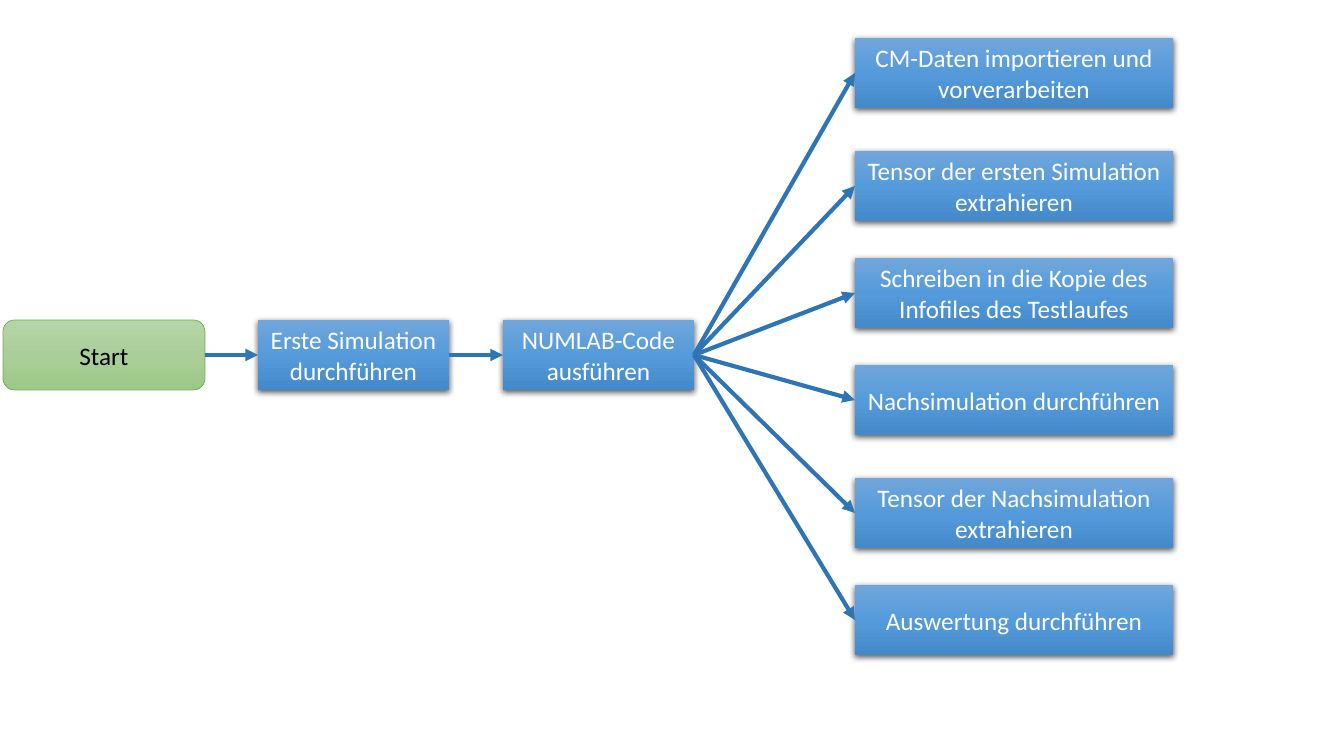
from lxml.etree import SubElement as Sub
from pptx import Presentation
from pptx.dml.color import RGBColor as Rgb
from pptx.enum.shapes import MSO_CONNECTOR as Link, MSO_SHAPE as Kind
from pptx.enum.text import MSO_ANCHOR as Anchor, PP_ALIGN as Align
from pptx.oxml.ns import qn
from pptx.util import Pt

SCALE = 914400 / 100.8
HUES = {
    "white": "FFFFFF", "black": "000000", "edge": "70AD47", "arrow": "2E75B6",
    "green": ("B5D5A7", "AACE9A", "9CC987"),
    "blue": ("71A6DB", "559BDB", "448ACA"),
}
RIGHT, LEFT = 3, 1


def emu(size):
    return round(size * SCALE)


def hue(name):
    return Rgb.from_string(HUES[name])


def write(frame, text, size=18, color="white", font="Calibri", align=Align.CENTER):
    frame.word_wrap = True
    frame.vertical_anchor = Anchor.MIDDLE
    para = frame.paragraphs[0]
    para.alignment = align
    run = para.add_run()
    run.text = text
    run.font.size = Pt(size)
    run.font.name = font
    run.font.color.rgb = hue(color)


class Chart:
    def __init__(self, slide):
        self.slide = slide

    def blend(self, shape, name):
        shape.fill.gradient()
        shape.fill.gradient_angle = 270
        stops = shape._element.spPr.find(".//" + qn("a:gsLst"))
        for stop in list(stops):
            stops.remove(stop)
        for step, code in enumerate(HUES[name]):
            stop = Sub(stops, qn("a:gs"), pos=str(step * 50000))
            Sub(stop, qn("a:srgbClr"), val=code)

    def shade(self, shape):
        glow = shape._element.spPr.find(qn("a:effectLst"))
        drop = Sub(glow, qn("a:outerShdw"), blurRad=str(Pt(4.5)), dist=str(Pt(1.5)),
                   dir="5400000", algn="ctr", rotWithShape="0")
        tint = Sub(drop, qn("a:srgbClr"), val=HUES["black"])
        Sub(tint, qn("a:alpha"), val="63000")

    def box(self, text, x, y, wide, high=70, kind=Kind.RECTANGLE, fill="blue",
            edge=None, color="white"):
        shape = self.slide.shapes.add_shape(kind, emu(x), emu(y), emu(wide), emu(high))
        shape.shadow.inherit = False
        self.blend(shape, fill)
        if edge:
            shape.line.color.rgb = hue(edge)
            shape.line.width = Pt(0.5)
        else:
            shape.line.fill.background()
            self.shade(shape)
        write(shape.text_frame, text, color=color)
        return shape

    def arrow(self, start, end):
        line = self.slide.shapes.add_connector(Link.STRAIGHT, 0, 0, 0, 0)
        line.begin_connect(start, RIGHT)
        line.end_connect(end, LEFT)
        line.line.color.rgb = hue("arrow")
        line.line.width = Pt(3)
        Sub(line._element.spPr.find(qn("a:ln")), qn("a:tailEnd"), type="triangle")
        Sub(line._element.spPr, qn("a:effectLst"))


deck = Presentation()
deck.slide_width, deck.slide_height = emu(1344), emu(756)
chart = Chart(deck.slides.add_slide(deck.slide_layouts[6]))

start = chart.box("Start", 3, 320, 202, kind=Kind.ROUNDED_RECTANGLE,
                  fill="green", edge="edge", color="black")
first = chart.box("Erste Simulation durchführen", 258, 320, 191)
code = chart.box("NUMLAB-Code ausführen", 503, 320, 191)

tasks = [
    ("CM-Daten importieren und vorverarbeiten", 38),
    ("Tensor der ersten Simulation extrahieren", 151),
    ("Schreiben in die Kopie des Infofiles des Testlaufes", 258),
    ("Nachsimulation durchführen", 365),
    ("Tensor der Nachsimulation extrahieren", 478),
    ("Auswertung durchführen", 585),
]
steps = [chart.box(text, 855, y, 318) for text, y in tasks]

chart.arrow(start, first)
chart.arrow(first, code)
for step in steps:
    chart.arrow(code, step)

deck.save("out.pptx")
